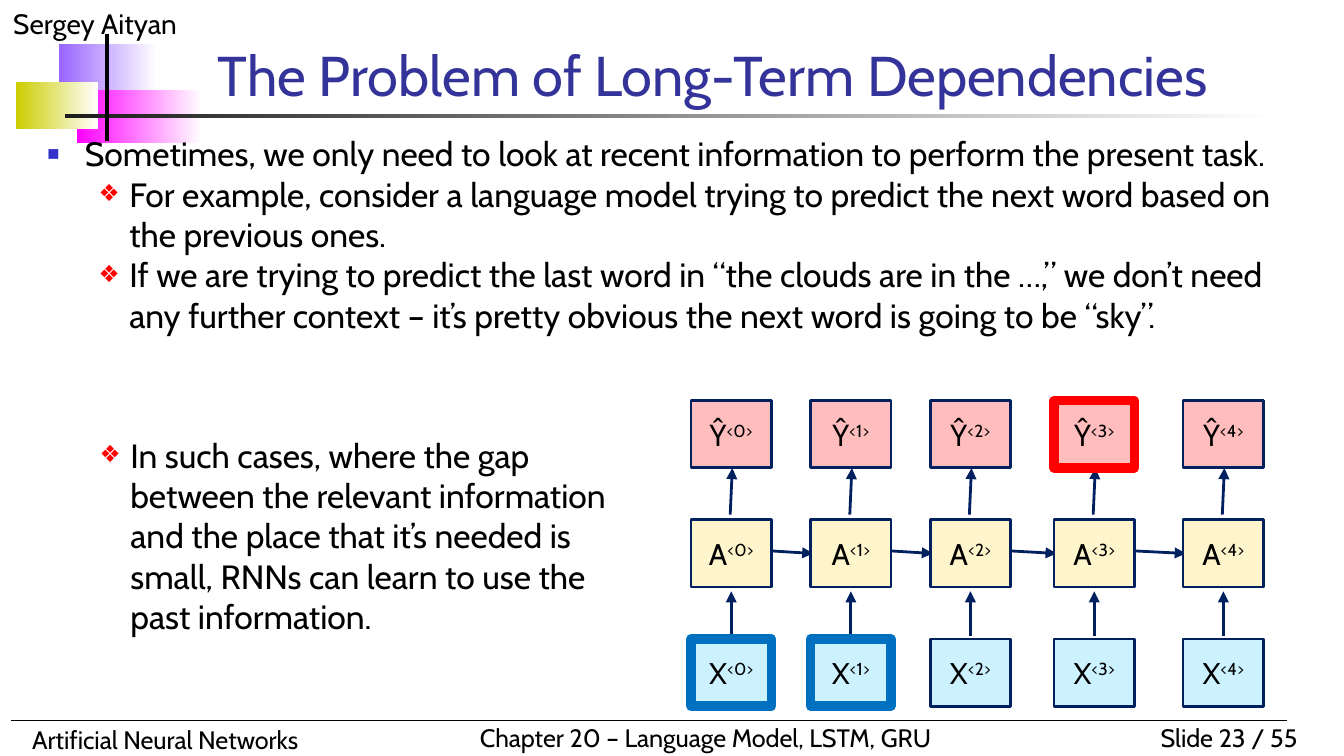
from itertools import pairwise

from lxml.etree import SubElement
from pptx import Presentation
from pptx.dml.color import RGBColor
from pptx.enum.shapes import MSO_CONNECTOR as Connector, MSO_SHAPE as Shape
from pptx.enum.text import MSO_ANCHOR as Anchor, MSO_AUTO_SIZE as AutoSize, PP_ALIGN as Align
from pptx.oxml.ns import qn
from pptx.util import Cm, Pt

FONT = "Cabin"
COLORS = {
    "black": "000000", "white": "FFFFFF", "title": "333399", "navy": "002060",
    "purple": "9966FF", "magenta": "FF00FF", "olive": "CCCC00", "charcoal": "1C1C1C",
    "square": "3333CC", "red": "FF0000", "blue": "0070C0",
    "output": "FFBDBD", "hidden": "FFF5CC", "input": "CDF2FF",
}
BULLETS = [
    ("■", "square", 60, 0.71, -0.71),
    ("❖", "red", 70, 1.55, -0.58),
]


def color(name):
    return RGBColor.from_string(COLORS[name])


def add_span(para, text, size, tint="black", raised=False):
    span = para.add_run()
    span.text = text
    span.font.name = FONT
    span.font.size = Pt(size)
    span.font.color.rgb = color(tint)
    if raised:
        span.font._element.set("baseline", "30000")


def add_line(shapes, start, end, tint, width, arrow=False):
    line = shapes.add_connector(Connector.STRAIGHT, *map(Cm, start + end))
    line.line.color.rgb = color(tint)
    line.line.width = Pt(width)
    if arrow:
        SubElement(line.line._get_or_add_ln(), qn("a:tailEnd"), type="triangle")
    SubElement(line._element.spPr, qn("a:effectLst"))


def add_label(page, box, text, size, align=Align.LEFT, wrap=True):
    frame = page.shapes.add_textbox(*map(Cm, box)).text_frame
    frame.word_wrap = wrap
    para = frame.paragraphs[0]
    para.alignment = align
    add_span(para, text, size)


def add_fade(page, box, tint):
    shape = page.shapes.add_shape(Shape.RECTANGLE, *map(Cm, box))
    shape.shadow.inherit = False
    shape.line.fill.background()
    shape.fill.gradient()
    shape.fill.gradient_angle = 0
    for stop, name, position in zip(shape.fill.gradient_stops, (tint, "white"), (0, 1)):
        stop.color.rgb = color(name)
        stop.position = position


def add_ornament(page, box):
    left, top, width, height = box
    add_fade(page, (left + 0.82, top, 1.85, 1), "purple")
    add_fade(page, (left + 1.15, top + 0.86, 2.36, 1), "magenta")
    add_fade(page, (left, top + 0.71, 1.55, 0.89), "olive")
    add_fade(page, (left + 0.92, top + 1.32, width - 0.92, 0.08), "charcoal")
    add_line(page.shapes, (left + 1.73, top - 0.2), (left + 1.73, top + height), "black", 2)


def add_footer(page, box):
    left, top, width, height = box
    add_label(page, (left + 20.76, top, 3.81, height), "Slide 23 / 55", 13.5, Align.RIGHT)
    add_label(page, (left + 0.16, top + 0.05, 9.4, height), "Artificial Neural Networks", 13.5)
    add_label(page, (left + 8.62, top, 9.6, height),
              "Chapter 20 – Language Model, LSTM, GRU", 13.5, wrap=False)
    add_line(page.shapes, (left, top + 0.1), (left + width, top + 0.1), "black", 0.75)


def place(holder, box):
    holder.left, holder.top, holder.width, holder.height = map(Cm, box)
    tree = holder.element.getparent()
    tree.append(holder.element)
    frame = holder.text_frame
    frame.auto_size = AutoSize.NONE
    frame.word_wrap = True
    return frame


def fill_title(holder, box, text):
    frame = place(holder, box)
    frame.vertical_anchor = Anchor.BOTTOM
    para = frame.paragraphs[0]
    para.alignment = Align.LEFT
    add_span(para, text, 30, "title")


def fill_list(holder, box, items):
    frame = place(holder, box)
    frame.vertical_anchor = Anchor.TOP
    for index, (level, text) in enumerate(items):
        para = frame.add_paragraph() if index else frame.paragraphs[0]
        para.level = level
        para.space_before = Pt(0)
        mark, tint, percent, margin, indent = BULLETS[level]
        props = para._p.get_or_add_pPr()
        props.set("marL", str(Cm(margin)))
        props.set("indent", str(Cm(indent)))
        SubElement(SubElement(props, qn("a:buClr")), qn("a:srgbClr"), val=COLORS[tint])
        SubElement(props, qn("a:buSzPct"), val=str(percent * 1000))
        SubElement(props, qn("a:buChar"), char=mark)
        add_span(para, text, 18)


def add_cell(shapes, box, letter, step, fill, edge):
    cell = shapes.add_shape(Shape.RECTANGLE, *map(Cm, box))
    cell.shadow.inherit = False
    cell.fill.solid()
    cell.fill.fore_color.rgb = color(fill)
    cell.line.color.rgb = color(edge)
    cell.line.width = Pt(1.5 if edge == "navy" else 5)
    frame = cell.text_frame
    frame.margin_left = frame.margin_right = frame.margin_top = frame.margin_bottom = 0
    frame.word_wrap = False
    frame.vertical_anchor = Anchor.MIDDLE
    para = frame.paragraphs[0]
    para.alignment = Align.CENTER
    add_span(para, letter, 16)
    add_span(para, f"<{step}>", 16, raised=True)


def add_network(page, box):
    left, top, width, height = box
    cell_width, cell_height = 1.52, 1.27
    row_gap = (height - cell_height) / 2
    columns = [left + offset for offset in (0, 2.26, 4.52, 6.86, width - cell_width)]
    rows = [("Ŷ", "output"), ("X", "input"), ("A", "hidden")]
    tops = {"Ŷ": top, "A": top + row_gap, "X": top + 2 * row_gap}
    marked = {("X", 0): "blue", ("X", 1): "blue", ("Ŷ", 3): "red"}
    shapes = page.shapes.add_group_shape().shapes

    middle = tops["A"] + cell_height / 2
    for here, there in pairwise(columns):
        add_line(shapes, (here + 1.5, middle - 0.05), (there + 0.05, middle), "navy", 1.5, True)
    for step, x in enumerate(columns):
        center = x + cell_width / 2
        add_line(shapes, (center - 0.02, tops["A"] - 0.1),
                 (center + 0.02, top + cell_height), "navy", 1.5, True)
        add_line(shapes, (center, tops["X"] - 0.05),
                 (center, tops["A"] + cell_height + 0.08), "navy", 1.5, True)
        for letter, fill in rows:
            add_cell(shapes, (x, tops[letter], cell_width, cell_height),
                     letter, step, fill, marked.get((letter, step), "navy"))


def main():
    deck = Presentation()
    deck.slide_width, deck.slide_height = Cm(25.4), Cm(14.28)
    page = deck.slides.add_slide(deck.slide_layouts[3])
    title, upper, lower = page.placeholders
    add_ornament(page, (0.3, 0.84, 23.78, 1.83))
    add_label(page, (0, 0, 6.35, 0.89), "Sergey Aityan", 15)
    add_footer(page, (0.2, 13.51, 24.13, 0.84))
    fill_title(title, (3.86, 0.79, 20.68, 1.37), "The Problem of Long-Term Dependencies")
    fill_list(upper, (0.64, 2.39, 23.93, 3.18), [
        (0, "Sometimes, we only need to look at recent information to perform the present task."),
        (1, "For example, consider a language model trying to predict the next word based on "
            "the previous ones."),
        (1, "If we are trying to predict the last word in “the clouds are in the …,” we don’t need "
            "any further context – it’s pretty obvious the next word is going to be “sky”."),
    ])
    fill_list(lower, (0.66, 8.08, 11.68, 2.11), [
        (1, "In such cases, where the gap between the relevant information and the place that "
            "it’s needed is small, RNNs can learn to use the past information."),
    ])
    add_network(page, (13.06, 7.57, 10.82, 5.77))
    deck.save("out.pptx")


if __name__ == "__main__":
    main()
